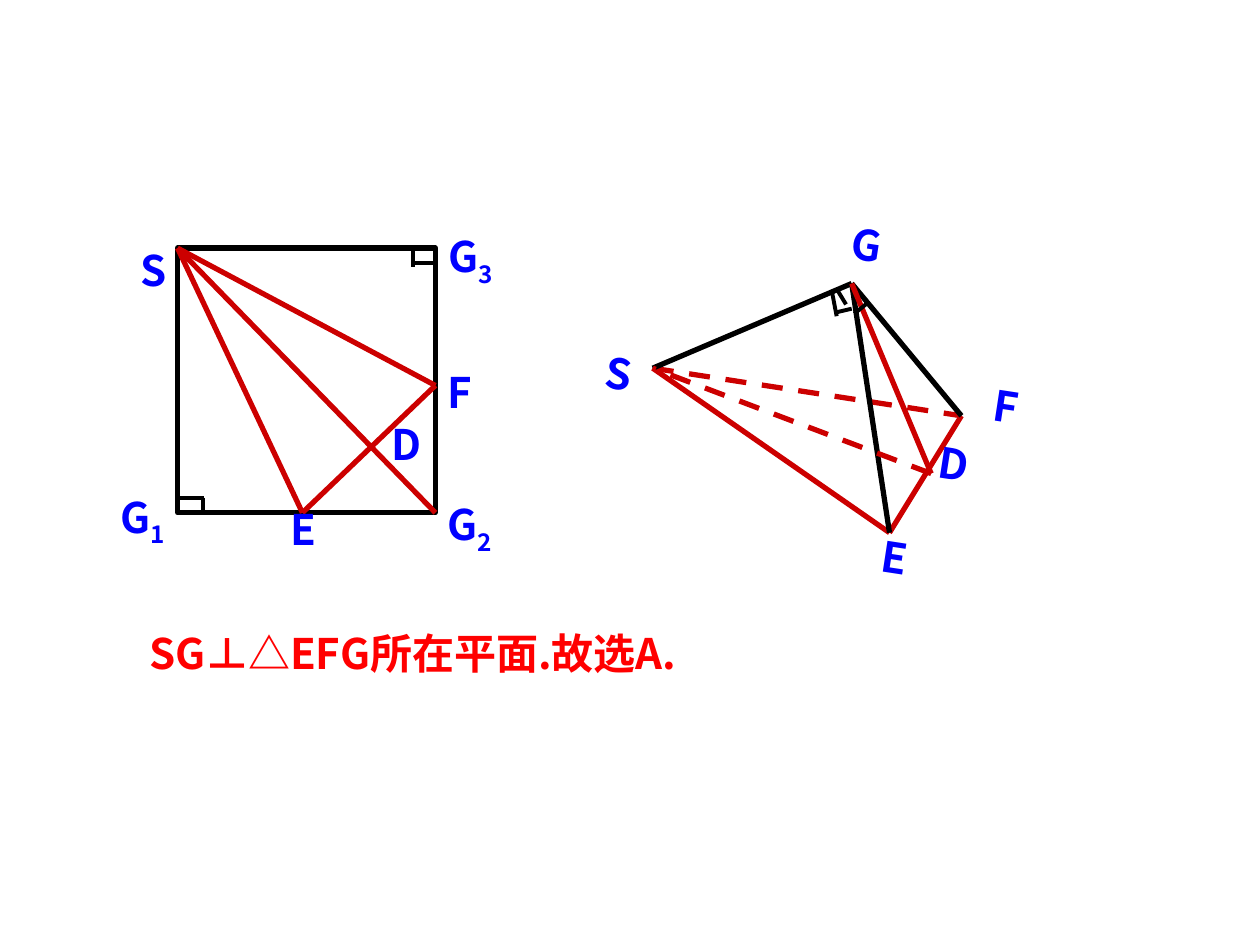
from lxml.etree import SubElement
from pptx import Presentation
from pptx.dml.color import RGBColor
from pptx.enum.dml import MSO_LINE
from pptx.enum.shapes import MSO_CONNECTOR, MSO_SHAPE
from pptx.enum.text import MSO_AUTO_SIZE
from pptx.oxml.ns import qn
from pptx.util import Pt

FONT = "Noto Sans CJK SC"
BLACK, RED, BLUE, ANSWER_RED = "000000", "CC0000", "0000FF", "FF0000"
SOLID, DASHED = MSO_LINE.SOLID, MSO_LINE.DASH
EDGE, MARK = 3, 2.25

SQUARE_CORNER = (101.5, 141.8)
SQUARE_SIZE = (147.3, 151.2)
SQUARE = {"S": SQUARE_CORNER, "E": (172.8, 293), "F": (248.8, 220.3), "G2": (248.8, 293)}
SQUARE_FOLDS = [("F", "E", RED, SOLID)] + [("S", end, RED, SOLID) for end in ("G2", "E", "F")]
SQUARE_LABELS = [
    ("S", "", 73.4, 136.1, 27.4, 36, False),
    ("G", "1", 61.9, 277.2, 39.6, 38.9, False),
    ("G", "2", 248.4, 281.5, 39.6, 40.3, False),
    ("G", "3", 249.1, 128.2, 80.6, 40.3, True),
    ("E", "", 159.1, 284.4, 27.4, 36, True),
    ("F", "", 248.4, 205.9, 27.4, 36, False),
    ("D", "", 216.7, 235.4, 31.7, 36, False),
]
SQUARE_MARKS = [
    ((103, 284.4), (116.6, 284.4), SOLID),
    ((115.9, 284.4), (115.9, 293.8), SOLID),
    ((236.2, 141.8), (236.2, 152.6), SOLID),
    ((236.2, 150.5), (249.8, 150.5), SOLID),
]

PYRAMID = {"S": (373, 210.4), "G": (486.7, 162), "F": (549.4, 237.6),
           "E": (508.3, 304.4), "D": (532.1, 270.6)}
PYRAMID_EDGES = [
    ("S", "F", RED, DASHED),
    ("S", "E", RED, SOLID),
    ("E", "F", RED, SOLID),
    ("S", "G", BLACK, SOLID),
    ("G", "E", BLACK, SOLID),
    ("G", "F", BLACK, SOLID),
    ("D", "S", RED, DASHED),
    ("D", "G", RED, SOLID),
]
PYRAMID_TILT = 8.8
PYRAMID_LABELS = [
    ("S", 339.1, 195.1, 27.4, 36, 1),
    ("E", 497.5, 288.7, 27.4, 47.5, 1.4),
    ("F", 560.9, 213.8, 27.4, 36, 1),
    ("G", 479.5, 121.7, 31.7, 36, 1),
    ("D", 529.2, 247, 31.7, 36, 1),
]
PYRAMID_MARKS = [
    ((478.8, 166.3), (486.7, 179.3), DASHED),
    ((488.2, 179.3), (496.1, 172.8), DASHED),
    ((475.2, 165.6), (478.1, 180.7), SOLID),
    ((477.4, 178.6), (486.7, 176.4), SOLID),
]
ANSWER = "SG⊥△EFG所在平面.故选A."


def color(value):
    return RGBColor.from_string(value)


def add_line(slide, start, end, stroke, width, dash):
    line = slide.shapes.add_connector(
        MSO_CONNECTOR.STRAIGHT, *(Pt(value) for value in (*start, *end)))
    line.line.color.rgb = color(stroke)
    line.line.width = Pt(width)
    if dash != SOLID:
        line.line.dash_style = dash
    SubElement(line._element.spPr, qn("a:effectLst"))


def add_text(slide, text, left, top, width, height, *, subscript="", fill=BLUE,
             wrap=False, tilt=0, spacing=1):
    box = slide.shapes.add_textbox(Pt(left), Pt(top), Pt(width), Pt(height))
    box.rotation = tilt
    frame = box.text_frame
    frame.word_wrap = wrap
    frame.auto_size = MSO_AUTO_SIZE.SHAPE_TO_FIT_TEXT
    paragraph = frame.paragraphs[0]
    if spacing != 1:
        paragraph.line_spacing = spacing
    for part in filter(None, (text, subscript)):
        run = paragraph.add_run()
        run.text = part
        run.font.size = Pt(24)
        run.font.bold = True
        run.font.name = FONT
        run.font.color.rgb = color(fill)
        properties = run._r.get_or_add_rPr()
        SubElement(properties, qn("a:ea")).set("typeface", FONT)
        if part == subscript:
            properties.set("baseline", "-25000")


def add_edges(slide, points, edges):
    for start, end, stroke, dash in edges:
        add_line(slide, points[start], points[end], stroke, EDGE, dash)


def add_marks(slide, marks):
    for start, end, dash in marks:
        add_line(slide, start, end, BLACK, MARK, dash)


def main():
    deck = Presentation()
    deck.slide_width, deck.slide_height = Pt(720), Pt(540)
    slide = deck.slides.add_slide(deck.slide_layouts[6])

    square = slide.shapes.add_shape(
        MSO_SHAPE.RECTANGLE, *(Pt(value) for value in SQUARE_CORNER + SQUARE_SIZE))
    square.shadow.inherit = False
    square.fill.background()
    square.line.color.rgb = color(BLACK)
    square.line.width = Pt(EDGE)

    add_edges(slide, SQUARE, SQUARE_FOLDS)
    for letter, index, left, top, width, height, wrap in SQUARE_LABELS:
        add_text(slide, letter, left, top, width, height, subscript=index, wrap=wrap)
    add_marks(slide, SQUARE_MARKS)

    add_edges(slide, PYRAMID, PYRAMID_EDGES)
    for letter, left, top, width, height, spacing in PYRAMID_LABELS:
        add_text(slide, letter, left, top, width, height, tilt=PYRAMID_TILT, spacing=spacing)
    add_marks(slide, PYRAMID_MARKS)

    add_text(slide, ANSWER, 78.5, 355, 445.7, 36, fill=ANSWER_RED, wrap=True)
    deck.save("out.pptx")


if __name__ == "__main__":
    main()
